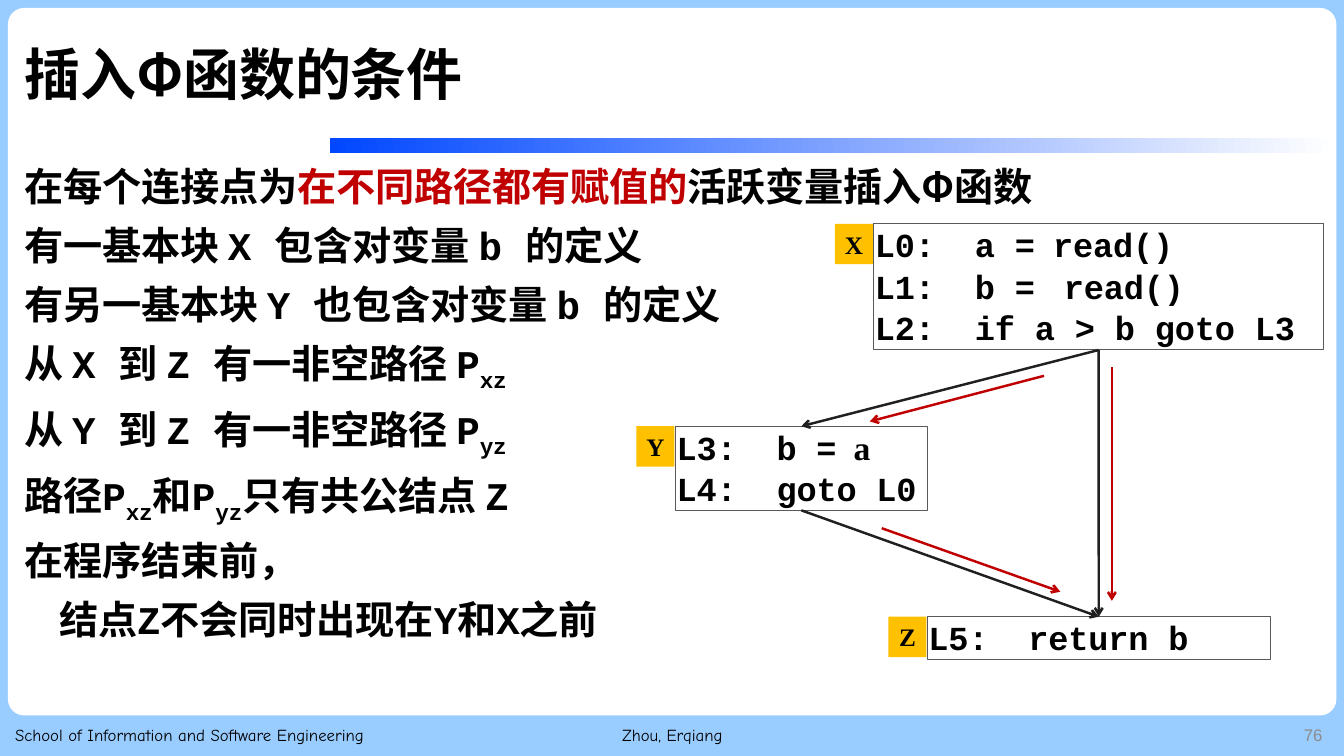
"""Build the slide on the conditions for inserting Φ functions."""
from lxml import etree
from pptx import Presentation, util as u
from pptx.dml.color import RGBColor
from pptx.enum import shapes, text
from pptx.oxml.ns import qn

THEME = {
    "sky": RGBColor.from_string("99CCFF"),
    "white": RGBColor.from_string("FFFFFF"),
    "blue": RGBColor.from_string("0047FF"),
    "black": RGBColor.from_string("000000"),
    "red": RGBColor.from_string("C00000"),
    "amber": RGBColor.from_string("FFC000"),
    "border": RGBColor.from_string("595959"),
    "edge": RGBColor.from_string("202020"),
    "grey": RGBColor.from_string("8C8C8C"),
    "chinese": "Noto Sans CJK SC",
    "title": {"size": u.Pt(40), "bold": True, "name": "Times New Roman"},
    "body": {"size": u.Pt(28), "bold": True, "name": "Courier New"},
    "code": {"size": u.Pt(24), "bold": True, "name": "Courier New"},
    "tag": {"size": u.Pt(18), "bold": True, "name": "Times New Roman"},
    "footer": {"size": u.Pt(12), "bold": False, "name": "Comic Neue"},
}
LEFT, CENTER, RIGHT = text.PP_ALIGN.LEFT, text.PP_ALIGN.CENTER, text.PP_ALIGN.RIGHT
TOP, MIDDLE = text.MSO_ANCHOR.TOP, text.MSO_ANCHOR.MIDDLE


def write(shape, lines, style, paragraph_format, anchor=TOP):
    """Fill a shape with lines of (text, changes) runs."""
    frame = shape.text_frame
    frame.word_wrap, frame.vertical_anchor = True, anchor
    for index, line in enumerate(lines):
        paragraph = frame.add_paragraph() if index else frame.paragraphs[0]
        for key, value in paragraph_format.items():
            setattr(paragraph, key, value)
        for words, changes in line:
            run = paragraph.add_run()
            run.text = words
            values = {**THEME[style], "color": "black", "baseline": 0, **changes}
            properties = run._r.get_or_add_rPr()
            if values["baseline"]:
                properties.set("baseline", str(values["baseline"]))
            if style in ("title", "body", "code"):
                properties.set("spc", "-10")
            run.font.color.rgb = THEME[values["color"]]
            for key in ("size", "bold", "name"):
                setattr(run.font, key, values[key])
            etree.SubElement(properties, qn("a:ea"), typeface=THEME["chinese"])


def draw_arrow(start, end, color):
    """Draw a straight arrow between two points in centimetres."""
    arrow = slide.shapes.add_connector(
        shapes.MSO_CONNECTOR.STRAIGHT, *(u.Cm(value) for value in (*start, *end)))
    arrow.line.color.rgb = THEME[color]
    arrow.line.width = u.Pt(1.75)
    etree.SubElement(arrow.line._get_or_add_ln(), qn("a:tailEnd"), type="arrow")
    etree.SubElement(arrow._element.spPr, qn("a:effectLst"))
    return arrow


presentation = Presentation()
presentation.slide_width, presentation.slide_height = u.Cm(33.87), u.Cm(19.05)
slide = presentation.slides.add_slide(presentation.slide_layouts[5])
slide.background.fill.solid()
slide.background.fill.fore_color.rgb = THEME["sky"]

panel = slide.shapes.add_shape(
    shapes.MSO_SHAPE.ROUNDED_RECTANGLE, u.Cm(0.2), u.Cm(0.2), u.Cm(33.48), u.Cm(17.83))
panel.adjustments[0] = 0.023
panel.fill.solid()
panel.fill.fore_color.rgb = THEME["white"]
bar = slide.shapes.add_shape(
    shapes.MSO_SHAPE.RECTANGLE, u.Cm(8.31), u.Cm(3.48), u.Cm(25.37), u.Cm(0.38))
bar.fill.gradient()
bar.fill.gradient_angle = 0
for stop, color in zip(bar.fill.gradient_stops, ("blue", "white")):
    stop.color.rgb = THEME[color]
for shape in (panel, bar):
    shape.line.fill.background()
    shape.shadow.inherit = False

title = slide.shapes.title
title.element.getparent().append(title.element)
for key, value in {"left": 0.36, "top": 0.38, "width": 31.93, "height": 3.15}.items():
    setattr(title, key, u.Cm(value))
write(title, [[("插入", {}), ("Φ", {"name": THEME["chinese"]}), ("函数的条件", {})]],
      "title", {"alignment": LEFT, "line_spacing": 0.9}, MIDDLE)

sans = {"name": THEME["chinese"]}
subscript = {"baseline": -25000}
conditions = [
    [("在每个连接点为", sans), ("在不同路径都有赋值的", {**sans, "color": "red"}),
     ("活跃变量插入Φ函数", sans)],
    [("有一基本块 X 包含对变量 b 的定义", {})],
    [("有另一基本块 Y 也包含对变量 b 的定义", {})],
    [("从 X 到 Z 有一非空路径 P", {}), ("xz", subscript)],
    [("从 Y 到 Z 有一非空路径 P", {}), ("yz", subscript)],
    [("路径P", {}), ("xz", subscript), ("和P", {}), ("yz", subscript),
     ("只有共公结点 Z", {})],
    [("在程序结束前，", {})],
    [("结点Z不会同时出现在Y和X之前", {})],
]
body = slide.shapes.add_textbox(u.Cm(0.36), u.Cm(3.86), u.Cm(33.22), u.Cm(14.15))
write(body, conditions, "body", {"line_spacing": 1.1, "space_before": u.Pt(5)})
last_line = body.text_frame.paragraphs[-1]._p.get_or_add_pPr()
last_line.set("marL", str(u.Cm(0.88)))

footers = [
    ("School of Information and Software Engineering", 0.13, 10.97, LEFT, {}),
    ("Zhou, Erqiang", 11.23, 11.43, CENTER, {}),
    ("76", 25.96, 7.62, RIGHT, {"name": "Arial", "color": "grey"}),
]
for words, left, width, alignment, changes in footers:
    footer = slide.shapes.add_textbox(u.Cm(left), u.Cm(18.01), u.Cm(width), u.Cm(1.02))
    write(footer, [[(words, changes)]], "footer", {"alignment": alignment}, MIDDLE)

arial = {"name": "Arial"}
blocks = {
    "X": ((22.02, 5.64, 11.33, 3.18), [
        [("L0:  a ", {}), ("=  ", arial), ("read()", {})],
        [("L1:  b ", {}), ("= ", arial), (" read()", {})],
        [("L2:  if a > b goto L3", {})]]),
    "Y": ((17.02, 10.74, 6.35, 2.12), [
        [("L3:  b ", {}), ("= ", arial), (" a", {"name": "Times New Roman"})],
        [("L4:  goto L0", {})]]),
    "Z": ((23.37, 15.54, 8.64, 1.07), [[("L5:  return b", {})]]),
}
boxes = {}
for name, (place, code) in blocks.items():
    box = boxes[name] = slide.shapes.add_shape(
        shapes.MSO_SHAPE.RECTANGLE, *(u.Cm(value) for value in place))
    box.fill.background()
    box.line.color.rgb = THEME["border"]
    box.line.width = u.Pt(0.75)
    frame = box.text_frame
    for side, margin in {"left": 0.03, "top": 0.05, "right": 0, "bottom": 0}.items():
        setattr(frame, f"margin_{side}", u.Cm(margin))
    write(box, code, "code",
          {"alignment": LEFT, "line_spacing": 0.99, "space_before": u.Pt(1.1)})

    tag = slide.shapes.add_shape(
        shapes.MSO_SHAPE.RECTANGLE, u.Cm(place[0] - 0.98), u.Cm(place[1]),
        u.Cm(0.96), u.Cm(1.02))
    tag.fill.solid()
    tag.fill.fore_color.rgb = THEME["amber"]
    tag.line.fill.background()
    tag.text_frame.margin_left = tag.text_frame.margin_right = 0
    write(tag, [[(name, {})]], "tag", {"alignment": CENTER}, MIDDLE)
    for shape in (box, tag):
        shape.shadow.inherit = False

for source, target in ("XY", "XZ", "YZ"):
    edge = draw_arrow((0, 0), (1, 1), "edge")
    edge.begin_connect(boxes[source], 2)
    edge.end_connect(boxes[target], 0)

paths = [
    ((28.02, 9.25), (28.02, 15.14)),
    ((26.31, 9.47), (21.92, 10.62)),
    ((22.22, 13.31), (26.72, 14.91)),
]
for start, end in paths:
    draw_arrow(start, end, "red")

presentation.save("out.pptx")
